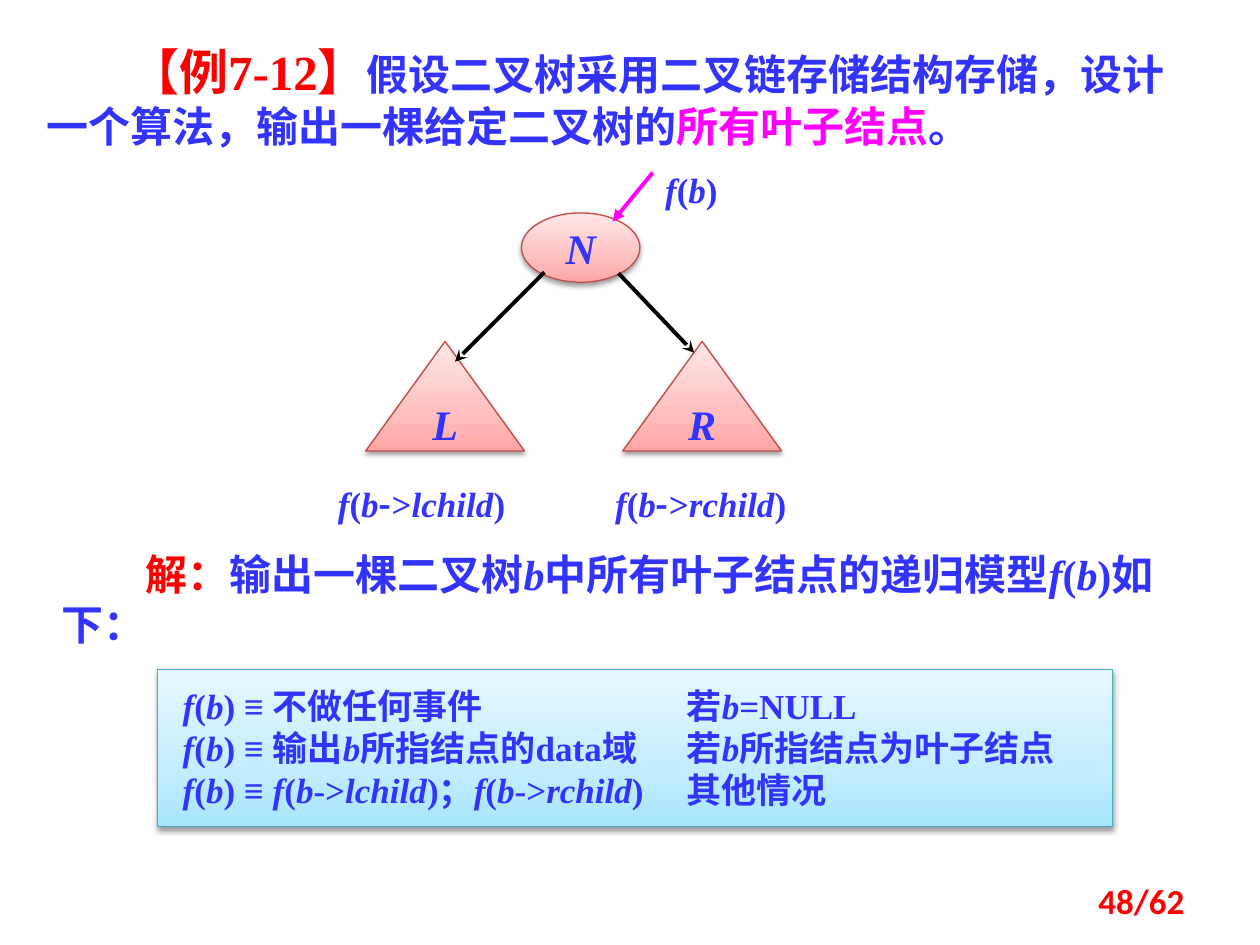
"""Build the slide on printing all leaf nodes of a binary tree."""
import copy
from typing import NamedTuple

import pptx
import pptx.dml.color
import pptx.enum.shapes
import pptx.enum.text
import pptx.oxml
import pptx.oxml.ns
import pptx.util

Pt = pptx.util.Pt
RGBColor = pptx.dml.color.RGBColor
MSO_SHAPE = pptx.enum.shapes.MSO_SHAPE
PP_ALIGN = pptx.enum.text.PP_ALIGN
MSO_ANCHOR = pptx.enum.text.MSO_ANCHOR
MSO_AUTO_SIZE = pptx.enum.text.MSO_AUTO_SIZE
qn = pptx.oxml.ns.qn
NS = pptx.oxml.ns.nsdecls("a")

BLUE = RGBColor(0x33, 0x33, 0xFF)
RED = RGBColor(0xFF, 0x00, 0x00)
MAGENTA = RGBColor(0xFF, 0x00, 0xFF)
BLACK = RGBColor(0x00, 0x00, 0x00)
NODE_LINE = RGBColor(0xBF, 0x4C, 0x48)
NODE_FILL = (RGBColor(0xFF, 0xA6, 0xA5), RGBColor(0xFF, 0xC0, 0xBF), RGBColor(0xFF, 0xE7, 0xE7))
MODEL_LINE = RGBColor(0x46, 0xAA, 0xC5)
MODEL_FILL = (RGBColor(0xA7, 0xE6, 0xFF), RGBColor(0xC1, 0xED, 0xFF), RGBColor(0xE7, 0xF8, 0xFF))

SERIF = "Times New Roman"
CJK = "Noto Sans CJK SC"
INDENT = Pt(48)


class Part(NamedTuple):
    """A stretch of text in one style; asterisks enclose italics."""

    text: str
    size: int = 20
    color: RGBColor = BLUE
    font: str = SERIF


def write(paragraph, *parts):
    """Add the parts to the paragraph as bold runs."""
    for part in parts:
        for index, piece in enumerate(part.text.split("*")):
            if piece:
                run = paragraph.add_run()
                run.text = piece
                run.font.size = Pt(part.size)
                run.font.name = part.font
                run.font.color.rgb = part.color
                run.font.bold = True
                run.font.italic = index % 2 == 1


def add_text(slide, left, top, width, height, *parts, indent=0):
    """Add a wrapped text box with one paragraph."""
    box = slide.shapes.add_textbox(Pt(left), Pt(top), Pt(width), Pt(height))
    frame = box.text_frame
    frame.word_wrap = True
    frame.auto_size = MSO_AUTO_SIZE.SHAPE_TO_FIT_TEXT
    paragraph = frame.paragraphs[0]
    if indent:
        paragraph._p.get_or_add_pPr().set("indent", str(indent))
    write(paragraph, *parts)
    return box


def add_glossy_shape(slide, preset, left, top, width, height, colors, line_color):
    """Add a shape with an upward gradient and a soft shadow below."""
    shape = slide.shapes.add_shape(preset, Pt(left), Pt(top), Pt(width), Pt(height))
    shape.fill.gradient()
    shape.fill.gradient_angle = 90
    stop_list = shape._element.spPr.find(".//" + qn("a:gsLst"))
    stop_list.insert(1, copy.deepcopy(stop_list[0]))
    for stop, position, color in zip(shape.fill.gradient_stops, (0, 0.35, 1), colors):
        stop.position = position
        stop.color.rgb = color
    shape.line.color.rgb = line_color
    shape.line.width = Pt(0.75)
    shape.shadow.inherit = False
    shape._element.spPr.find(qn("a:effectLst")).append(pptx.oxml.parse_xml(
        f'<a:outerShdw {NS} blurRad="{Pt(3.1)}" dist="{Pt(1.6)}" dir="5400000" rotWithShape="0">'
        '<a:srgbClr val="000000"><a:alpha val="38000"/></a:srgbClr></a:outerShdw>'))
    return shape


def add_arrow(slide, start, end, color, head):
    """Add a straight arrow between two points."""
    arrow = slide.shapes.add_connector(
        pptx.enum.shapes.MSO_CONNECTOR.STRAIGHT, *map(Pt, start), *map(Pt, end))
    arrow.line.color.rgb = color
    arrow.line.width = Pt(2.25)
    arrow.line._get_or_add_ln().append(pptx.oxml.parse_xml(f'<a:tailEnd {NS} type="{head}"/>'))
    arrow._element.spPr.append(pptx.oxml.parse_xml(f"<a:effectLst {NS}/>"))


def add_tree(slide, left, top):
    """Draw the root, its two subtrees and their function labels."""
    nodes = (
        ("N", MSO_SHAPE.OVAL, 112, 28.7, 67.7, 39.6),
        ("L", MSO_SHAPE.ISOSCELES_TRIANGLE, 23, 102.1, 90.7, 62.6),
        ("R", MSO_SHAPE.ISOSCELES_TRIANGLE, 169.9, 102.1, 90.7, 62.6),
    )
    arrows = (
        ((187, 5.6), (164, 33.7), MAGENTA, "triangle"),
        ((125.1, 62.6), (74, 113.7), BLACK, "stealth"),
        ((167.5, 63.2), (210.7, 108.6), BLACK, "stealth"),
    )
    add_text(slide, left + 187, top, 57, 31, Part("*f*(*b*)"))
    for child, x, width in (("lchild", 0, 147.6), ("rchild", 158.4, 152.6)):
        add_text(slide, left + x, top + 179.2, width, 31,
                 Part("*f*(*b*"), Part("-", font=CJK), Part(f">*{child}*)"))
    for name, preset, x, y, width, height in nodes:
        node = add_glossy_shape(slide, preset, left + x, top + y, width, height,
                                NODE_FILL, NODE_LINE)
        frame = node.text_frame
        frame.word_wrap = False
        frame.vertical_anchor = MSO_ANCHOR.MIDDLE
        frame.paragraphs[0].alignment = PP_ALIGN.CENTER
        write(frame.paragraphs[0], Part(f"*{name}*", 24))
    for (x1, y1), (x2, y2), color, head in arrows:
        add_arrow(slide, (left + x1, top + y1), (left + x2, top + y2), color, head)


def add_model(slide, left, top, width, height):
    """Add the panel with the cases of the recursive model."""
    cases = (
        "*f*(*b*) ≡ 不做任何事件\t若*b*=NULL",
        "*f*(*b*) ≡ 输出*b*所指结点的data域\t若*b*所指结点为叶子结点",
        "*f*(*b*) ≡ *f*(*b*->*lchild*)；*f*(*b*->*rchild*)\t其他情况",
    )
    panel = add_glossy_shape(slide, MSO_SHAPE.RECTANGLE, left, top, width, height,
                             MODEL_FILL, MODEL_LINE)
    frame = panel.text_frame
    frame.word_wrap = True
    frame.auto_size = MSO_AUTO_SIZE.SHAPE_TO_FIT_TEXT
    frame.vertical_anchor = MSO_ANCHOR.TOP
    frame.margin_left = frame.margin_right = Pt(14.4)
    frame.margin_top = frame.margin_bottom = Pt(8.64)
    for index, case in enumerate(cases):
        paragraph = frame.add_paragraph() if index else frame.paragraphs[0]
        paragraph._p.get_or_add_pPr().append(pptx.oxml.parse_xml(
            f'<a:tabLst {NS}><a:tab pos="{Pt(288)}" algn="l"/></a:tabLst>'))
        paragraph.alignment = PP_ALIGN.LEFT
        write(paragraph, Part(case))


def add_page_number(slide, left, top, width, height):
    """Add the page number at the lower right."""
    box = add_text(slide, left, top, width, height, Part("48/62", 20, RED, "Calibri"))
    box.text_frame.auto_size = MSO_AUTO_SIZE.NONE
    box.text_frame.vertical_anchor = MSO_ANCHOR.MIDDLE
    box.text_frame.paragraphs[0].alignment = PP_ALIGN.RIGHT


def main():
    """Build and save the slide."""
    deck = pptx.Presentation()
    deck.slide_width, deck.slide_height = Pt(720), Pt(540)
    slide = deck.slides.add_slide(deck.slide_layouts[6])
    add_model(slide, 90, 382.4, 545.8, 90)
    add_text(slide, 19.4, 20.2, 672.5, 70.6,
             Part("【例7-12】", 28, RED),
             Part("假设二叉树采用二叉链存储结构存储，设计一个算法，输出一棵给定二叉树的", 24),
             Part("所有叶子结点", 24, MAGENTA), Part("。", 24), indent=INDENT)
    add_text(slide, 28.1, 309.6, 646.6, 65.5,
             Part("解：", 24, RED, CJK),
             Part("输出一棵二叉树*b*中所有叶子结点的递归模型*f*(*b*)如下：", 24), indent=INDENT)
    add_tree(slide, 186, 93)
    add_page_number(slide, 516.2, 500.4, 167.8, 28.8)
    deck.save("out.pptx")


if __name__ == "__main__":
    main()
